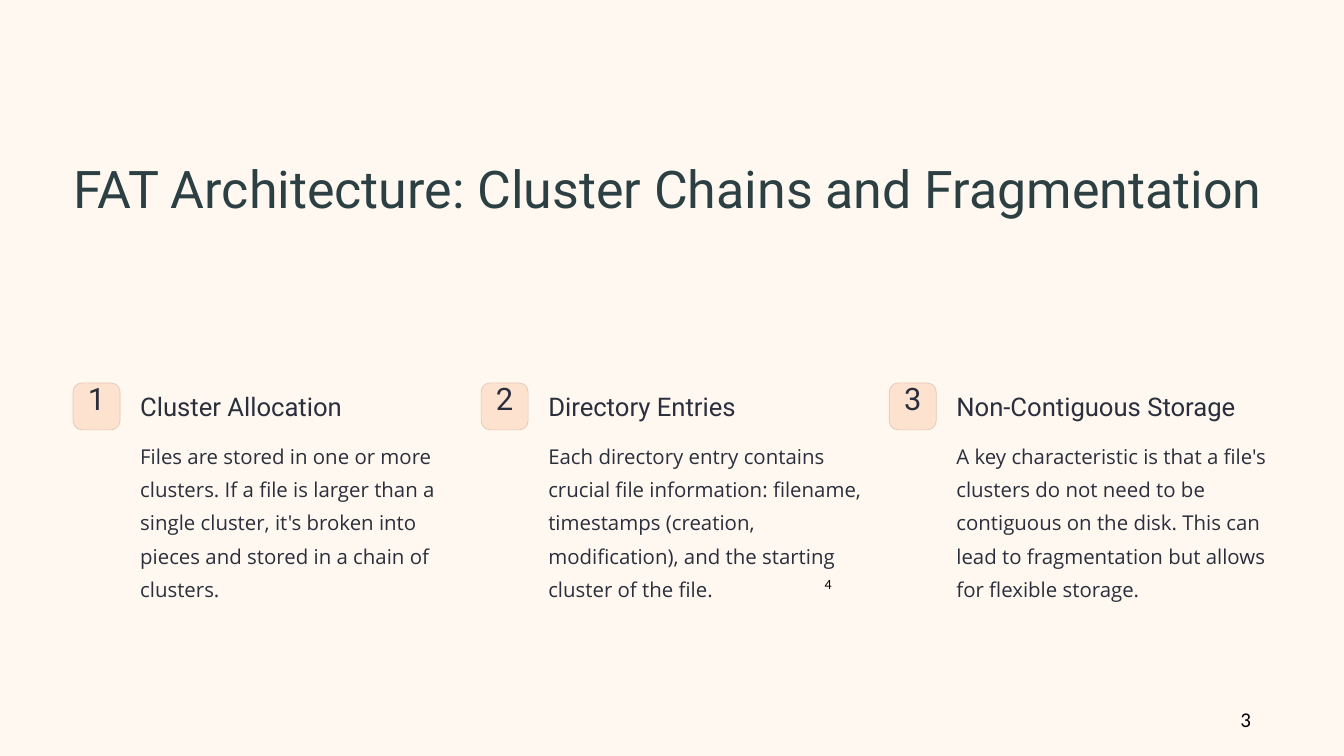
from pptx import Presentation
from pptx import util as u
from pptx.dml.color import RGBColor
from pptx.enum import shapes, text

Cm, Pt = u.Cm, u.Pt

THEME = {
    "background": RGBColor.from_string("FFF8F0"),
    "badge_fill": RGBColor.from_string("FCE2CF"),
    "badge_line": RGBColor.from_string("E2C8B5"),
    # style: font, size, line spacing in points, colour
    "title": ("Roboto", 44.5, 55.5, "2C3F42"),
    "number": ("Roboto", 26.5, 26.5, "2B2E3C"),
    "heading": ("Roboto", 22, 27.5, "2B2E3C"),
    "body": ("Open Sans", 17.5, 28.5, "2B2E3C"),
    "small_page": ("Calibri", 12, None, "000000"),
    "page": ("Calibri", 18, None, "000000"),
}
ALIGN = text.PP_ALIGN


def write(shape, words, style, align=ALIGN.LEFT, wrap=True, inset=(0, 0)):
    """Fill a text shape using one of the theme's text styles."""
    name, size, spacing, colour = THEME[style]
    frame = shape.text_frame
    frame.text = words
    across, down = Cm(inset[0]), Cm(inset[1])
    frame_format = {
        "margin_left": across, "margin_right": across,
        "margin_top": down, "margin_bottom": down,
        "word_wrap": wrap, "auto_size": text.MSO_AUTO_SIZE.NONE,
        "vertical_anchor": text.MSO_ANCHOR.TOP,
    }
    for key, value in frame_format.items():
        setattr(frame, key, value)
    paragraph = frame.paragraphs[0]
    paragraph.alignment = align
    if spacing:
        paragraph.line_spacing = Pt(spacing)
    font = paragraph.runs[0].font
    for key, value in {"name": name, "size": Pt(size), "bold": False}.items():
        setattr(font, key, value)
    font.color.rgb = RGBColor.from_string(colour)


def add_text(slide, box, words, style, **options):
    """Add a text box; box is left, top, width, height in centimetres."""
    shape = slide.shapes.add_textbox(*(Cm(length) for length in box))
    write(shape, words, style, **options)


# Slide and background
presentation = Presentation()
presentation.slide_width, presentation.slide_height = Cm(40.64), Cm(22.86)
slide = presentation.slides.add_slide(presentation.slide_layouts[5])
slide.background.fill.solid()
slide.background.fill.fore_color.rgb = THEME["background"]

# Title
title = slide.shapes.title
title_place = {"left": 2.21, "top": 4.67, "width": 36.22, "height": 3.94}
for key, value in title_place.items():
    setattr(title, key, Cm(value))
write(title, "FAT Architecture: Cluster Chains and Fragmentation", "title")

# Three numbered columns
COLUMNS = [
    ("Cluster Allocation",
     "Files are stored in one or more clusters. If a file is larger than a "
     "single cluster, it's broken into pieces and stored in a chain of clusters."),
    ("Directory Entries",
     "Each directory entry contains crucial file information: filename, "
     "timestamps (creation, modification), and the starting cluster of the file."),
    ("Non-Contiguous Storage",
     "A key characteristic is that a file's clusters do not need to be "
     "contiguous on the disk. This can lead to fragmentation but allows for "
     "flexible storage."),
]
FIRST_LEFT, PITCH, BADGE = 2.21, 12.34, 1.42
HEADING_WIDTHS = [7.87, 7.87, 9.12]

for index, (heading, body) in enumerate(COLUMNS):
    left = FIRST_LEFT + index * PITCH
    badge = slide.shapes.add_shape(
        shapes.MSO_SHAPE.ROUNDED_RECTANGLE,
        Cm(left), Cm(11.58), Cm(BADGE), Cm(BADGE))
    badge.adjustments[0] = 0.19
    badge.shadow.inherit = False
    badge.fill.solid()
    badge.fill.fore_color.rgb = THEME["badge_fill"]
    badge.line.color.rgb = THEME["badge_line"]
    badge.line.width = Pt(0.6)

    add_text(slide, (left + 0.24, 11.68, 0.94, 1.19), str(index + 1), "number",
             align=ALIGN.CENTER, wrap=False)
    add_text(slide, (left + 2.03, 11.79, HEADING_WIDTHS[index], 0.99),
             heading, "heading", wrap=False)
    add_text(slide, (left + 2.03, 13.16, 9.5, 5.03), body, "body")

# Page numbers
add_text(slide, (22.86, 17.27, 2.54, 0.76), "4", "small_page",
         align=ALIGN.RIGHT, wrap=False, inset=(0.25, 0.13))
add_text(slide, (37.26, 21.23, 2.82, 1.02), "3", "page", inset=(0.25, 0.13))

presentation.save("out.pptx")
